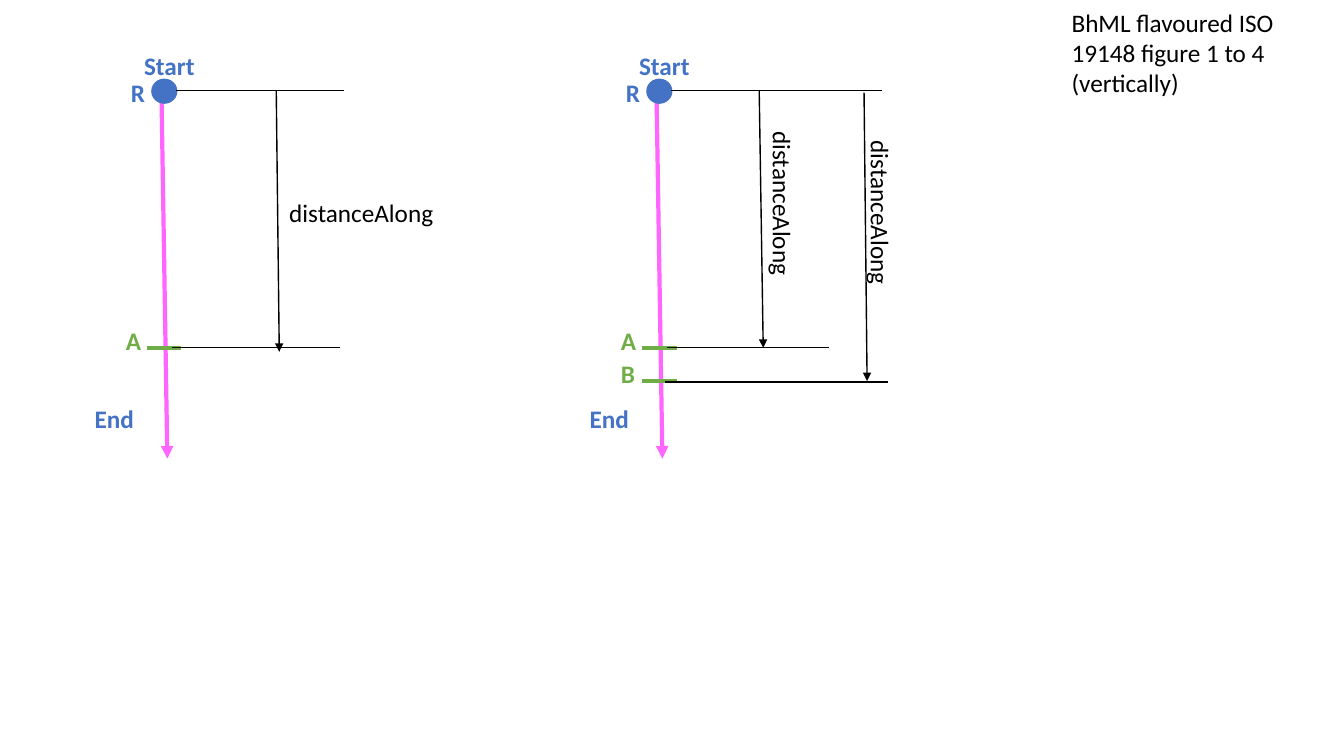
import pptx
import pptx.dml.color
import pptx.enum.shapes
import pptx.enum.text
import pptx.oxml
import pptx.oxml.ns
import pptx.util

SLIDE_WIDTH = pptx.util.Inches(13.33)
SLIDE_HEIGHT = pptx.util.Inches(7.5)
COLUMN = SLIDE_WIDTH / 133.3
ROW = SLIDE_HEIGHT / 75

BLACK = pptx.dml.color.RGBColor(0x00, 0x00, 0x00)
BLUE = pptx.dml.color.RGBColor(0x44, 0x72, 0xC4)
GREEN = pptx.dml.color.RGBColor(0x70, 0xAD, 0x47)
PINK = pptx.dml.color.RGBColor(0xFF, 0x66, 0xFF)

FIGURE_STEP = 49.1
START_ROW = 9
A_ROW = 34.5
B_ROW = 37.8


def columns(count):
    return round(count * COLUMN)


def rows(count):
    return round(count * ROW)


def add_label(slide, text, left, top, width, height=4, color=BLACK,
              bold=False, wrap=False, rotation=0):
    label = slide.shapes.add_textbox(
        columns(left), rows(top), columns(width), rows(height))
    label.rotation = rotation
    frame = label.text_frame
    frame.word_wrap = wrap
    frame.auto_size = pptx.enum.text.MSO_AUTO_SIZE.SHAPE_TO_FIT_TEXT
    run = frame.paragraphs[0].add_run()
    run.text = text
    run.font.name = "Calibri"
    run.font.size = pptx.util.Pt(18)
    run.font.bold = bold
    run.font.color.rgb = color


def add_line(slide, start, end, color=BLACK, weight=1, arrow=False):
    line = slide.shapes.add_connector(
        pptx.enum.shapes.MSO_CONNECTOR.STRAIGHT,
        columns(start[0]), rows(start[1]), columns(end[0]), rows(end[1]))
    line.line.color.rgb = color
    line.line.width = pptx.util.Pt(weight)
    properties = line._element.spPr
    if arrow:
        arrowhead = pptx.oxml.parse_xml(
            f'<a:tailEnd {pptx.oxml.ns.nsdecls("a")} type="triangle"/>')
        line.line._get_or_add_ln().append(arrowhead)
    properties.append(pptx.oxml.parse_xml(
        f'<a:effectLst {pptx.oxml.ns.nsdecls("a")}/>'))


def add_referent(slide, left, top):
    referent = slide.shapes.add_shape(
        pptx.enum.shapes.MSO_SHAPE.OVAL,
        columns(left), rows(top), columns(2.6), rows(2.5))
    referent.shadow.inherit = False
    referent.fill.solid()
    referent.fill.fore_color.rgb = BLUE
    referent.line.fill.background()


def add_location(slide, name, origin, row):
    add_line(slide, (origin + 14.6, row), (origin + 18, row), GREEN, 3)
    add_label(slide, name, origin + 11.5, row - 2.7, 3.5, color=GREEN, bold=True)


def add_alignment(slide, origin):
    add_line(slide, (origin + 16, 8.4), (origin + 16.6, 45.5), PINK, 3, arrow=True)
    add_referent(slide, origin + 15, 7.8)
    for name, left, top, width in (("R", 12, 7.2, 3.4),
                                   ("Start", 13.3, 4.5, 7.1),
                                   ("End", 8.4, 39.5, 5.9)):
        add_label(slide, name, origin + left, top, width, color=BLUE, bold=True)
    add_location(slide, "A", origin, A_ROW)


def main():
    presentation = pptx.Presentation()
    presentation.slide_width = SLIDE_WIDTH
    presentation.slide_height = SLIDE_HEIGHT
    slide = presentation.slides.add_slide(presentation.slide_layouts[6])

    add_label(slide, "BhML flavoured ISO 19148 figure 1 to 4 (vertically)",
              105.3, 0.2, 28.3, 10.1, wrap=True)
    for figure in range(2):
        add_alignment(slide, figure * FIGURE_STEP)
    add_location(slide, "B", FIGURE_STEP, B_ROW)

    for left, right, row in ((17.5, 34.1, START_ROW), (17.1, 33.7, A_ROW),
                             (66.6, 87.5, START_ROW), (66.2, 82.2, A_ROW),
                             (66, 88.1, B_ROW + 0.1)):
        add_line(slide, (left, row), (right, row))

    for start, end in (((27.4, START_ROW), (27.7, 34.9)),
                       ((75.3, START_ROW), (75.7, A_ROW)),
                       ((85.7, 9.2), (86, B_ROW))):
        add_line(slide, start, end, arrow=True)

    for left, top, rotation in ((27.7, 19.1, 0), (61.9, 25.8, 90), (71.6, 26.7, 90)):
        add_label(slide, "distanceAlong", left, top, 31.5, wrap=True, rotation=rotation)

    presentation.save("out.pptx")


if __name__ == "__main__":
    main()
